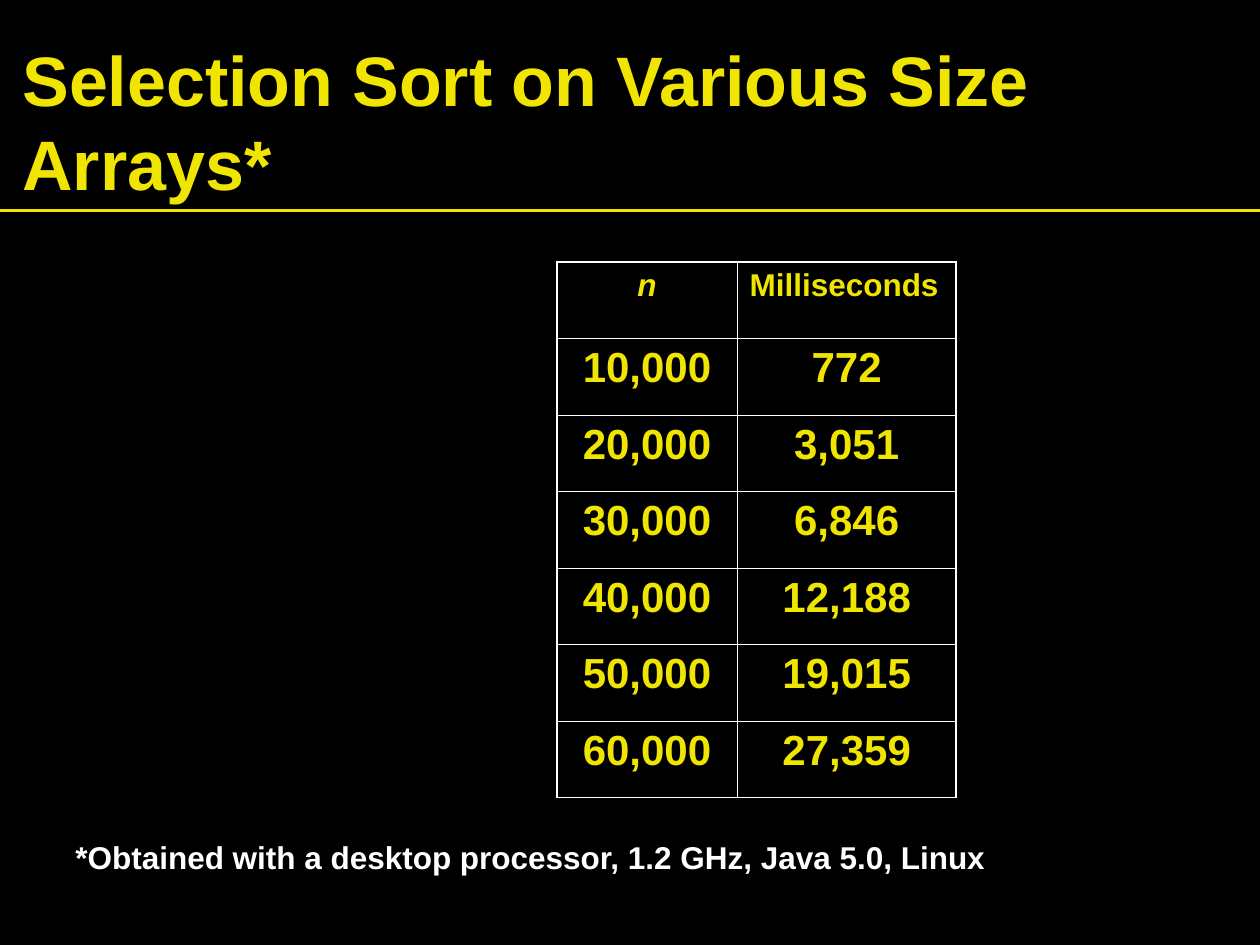
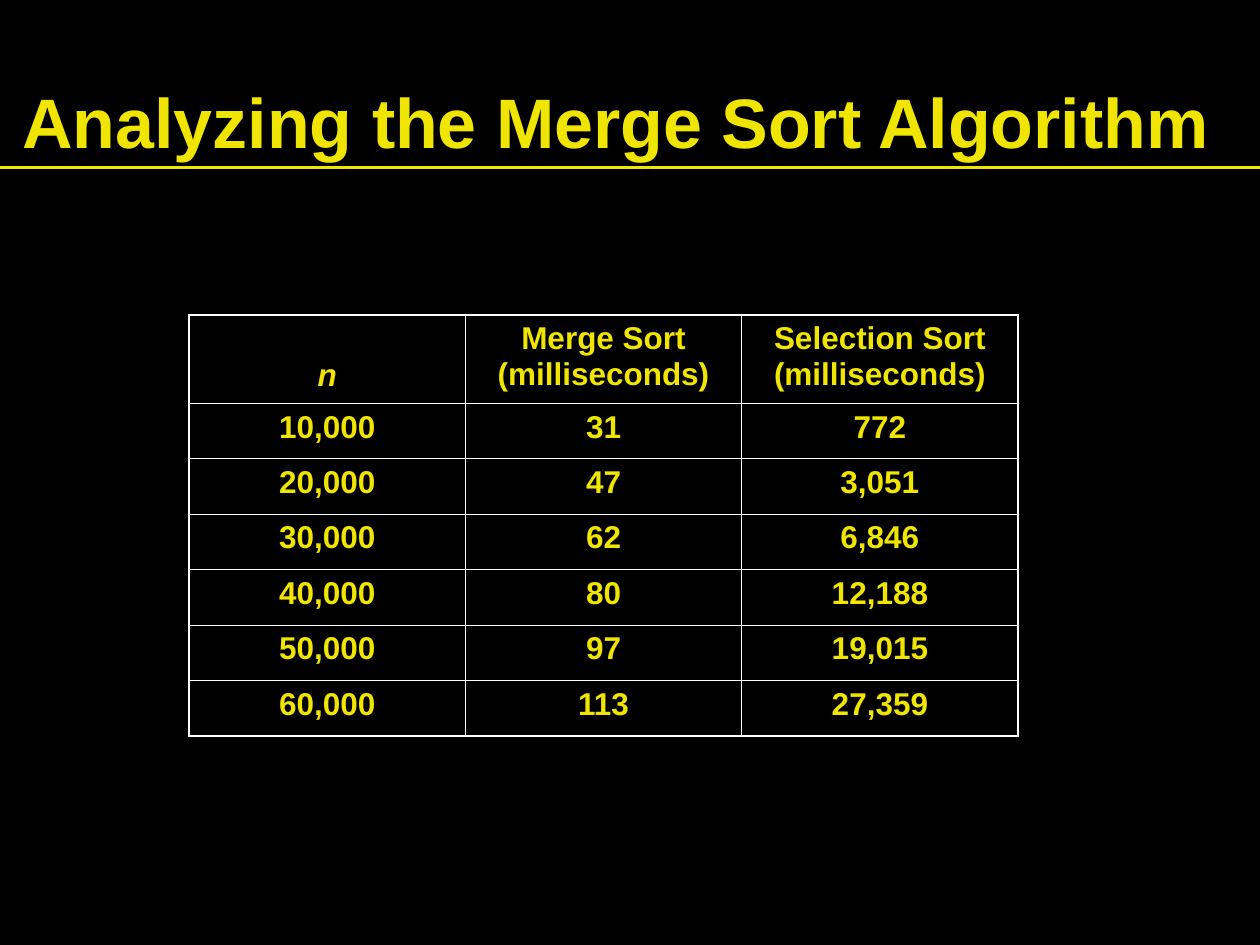
"""Build two slides that compare sort times."""
from dataclasses import dataclass

from lxml.etree import SubElement as Sub
from pptx import Presentation as Deck
from pptx.dml.color import RGBColor as Rgb
from pptx.enum.shapes import MSO_CONNECTOR as Link
from pptx.enum.text import MSO_ANCHOR as Anchor, PP_ALIGN as Align
from pptx.oxml.ns import qn
from pptx.util import Inches, Pt


@dataclass(frozen=True)
class Theme:
    """Hold the shared colours, font and sizes."""
    back: Rgb = Rgb(0, 0, 0)
    gold: Rgb = Rgb(0xF0, 0xE5, 0)
    white: Rgb = Rgb(255, 255, 255)
    font: str = "Arial"
    title: int = 40
    lead: int = 48
    large: int = 24
    body: int = 18
    rule: float = 1.5
    edge: float = 1.08
    grid: float = 0.45


THEME = Theme()
SIZES = ["10,000", "20,000", "30,000", "40,000", "50,000", "60,000"]
MERGE = ["31", "47", "62", "80", "97", "113"]
SELECT = ["772", "3,051", "6,846", "12,188", "19,015", "27,359"]


def add_run(para, text, size, color, slant=False):
    """Add one bold run to a paragraph."""
    run = para.add_run()
    run.text = text
    font = run.font
    font.name, font.size = THEME.font, Pt(size)
    font.bold, font.italic = True, slant
    font.color.rgb = color


def add_text(slide, text, spot, size, color, top):
    """Add a wrapped text box and return its frame."""
    frame = slide.shapes.add_textbox(*map(Inches, spot)).text_frame
    frame.word_wrap = True
    frame.margin_top = Inches(top)
    add_run(frame.paragraphs[0], text, size, color)
    return frame


def add_title(slide, text, width, line_y):
    """Add the slide title and the rule below it."""
    spot = (0.08, 0.3, width, 1.25)
    frame = add_text(slide, text, spot, THEME.title, THEME.gold, 0.11)
    frame.vertical_anchor = Anchor.MIDDLE
    frame.paragraphs[0].line_spacing = Pt(THEME.lead)
    ends = map(Inches, (0, line_y, 10, line_y))
    rule = slide.shapes.add_connector(Link.STRAIGHT, *ends)
    rule.line.color.rgb = THEME.gold
    rule.line.width = Pt(THEME.rule)
    Sub(rule._element.spPr, qn("a:effectLst"))


def add_edge(cell, side, width):
    """Draw one white border of a cell."""
    line = Sub(cell._tc.get_or_add_tcPr(), qn(f"a:{side}"), w=str(Pt(width)))
    fill = Sub(line, qn("a:solidFill"))
    Sub(fill, qn("a:srgbClr"), val=str(THEME.white))


def style_cell(cell, outer):
    """Border a cell, heavy on its outer sides, and clear its fill."""
    for side, heavy in zip(("lnL", "lnR", "lnT", "lnB"), outer):
        add_edge(cell, side, THEME.edge if heavy else THEME.grid)
    cell.fill.background()


def add_grid(slide, spot, widths, heights, rows, size):
    """Add a table with a header row and centred values."""
    left, top = spot
    place = map(Inches, (left, top, sum(widths), sum(heights)))
    frame = slide.shapes.add_table(len(rows), len(widths), *place)
    table = frame.table
    table.first_row = table.horz_banding = False
    for col, width in zip(table.columns, widths):
        col.width = Inches(width)
    end_r, end_c = len(rows) - 1, len(widths) - 1
    for r, (row, height) in enumerate(zip(rows, heights)):
        table.rows[r].height = Inches(height)
        for c, text in enumerate(row):
            cell = table.cell(r, c)
            para = cell.text_frame.paragraphs[0]
            para.alignment = Align.CENTER
            points = size if r else THEME.body
            add_run(para, text, points, THEME.gold, text == "n")
            style_cell(cell, (c == 0, c == end_c, r == 0, r == end_r))
    return table


def add_slide(deck):
    """Add a blank slide with the dark ground."""
    slide = deck.slides.add_slide(deck.slide_layouts[6])
    fill = slide.background.fill
    fill.solid()
    fill.fore_color.rgb = THEME.back
    return slide


def show_select(deck):
    """Build the slide of selection sort times."""
    slide = add_slide(deck)
    add_title(slide, "Selection Sort on Various Size Arrays*", 9, 1.67)
    rows = [("n", "Milliseconds"), *zip(SIZES, SELECT)]
    heights = [4.25 / len(rows)] * len(rows)
    table = add_grid(slide, (4.42, 2.08), (1.43, 1.74), heights, rows,
                     THEME.large)
    table.cell(0, 1).text_frame.paragraphs[0].alignment = Align.LEFT
    note = "*Obtained with a desktop processor, 1.2 GHz, Java 5.0, Linux"
    add_text(slide, note, (0.5, 6.58, 9.25, 0.4), THEME.body, THEME.white,
             0.07)


def show_merge(deck):
    """Build the slide that sets merge sort beside selection sort."""
    slide = add_slide(deck)
    add_title(slide, "Analyzing the Merge Sort Algorithm", 9.92, 1.33)
    head = ("n", "Merge Sort (milliseconds)", "Selection Sort (milliseconds)")
    rows = [head, *zip(SIZES, MERGE, SELECT)]
    heights = [0.7] + [0.44] * len(SIZES)
    table = add_grid(slide, (1.5, 2.5), [6.58 / 3] * 3, heights, rows,
                     THEME.body)
    corner = table.cell(0, 0)
    corner.vertical_anchor = Anchor.BOTTOM
    corner.margin_bottom = Inches(0.08)


def main():
    """Build and save the deck."""
    deck = Deck()
    deck.slide_width, deck.slide_height = Inches(10), Inches(7.5)
    show_select(deck)
    show_merge(deck)
    deck.save("out.pptx")


if __name__ == "__main__":
    main()
